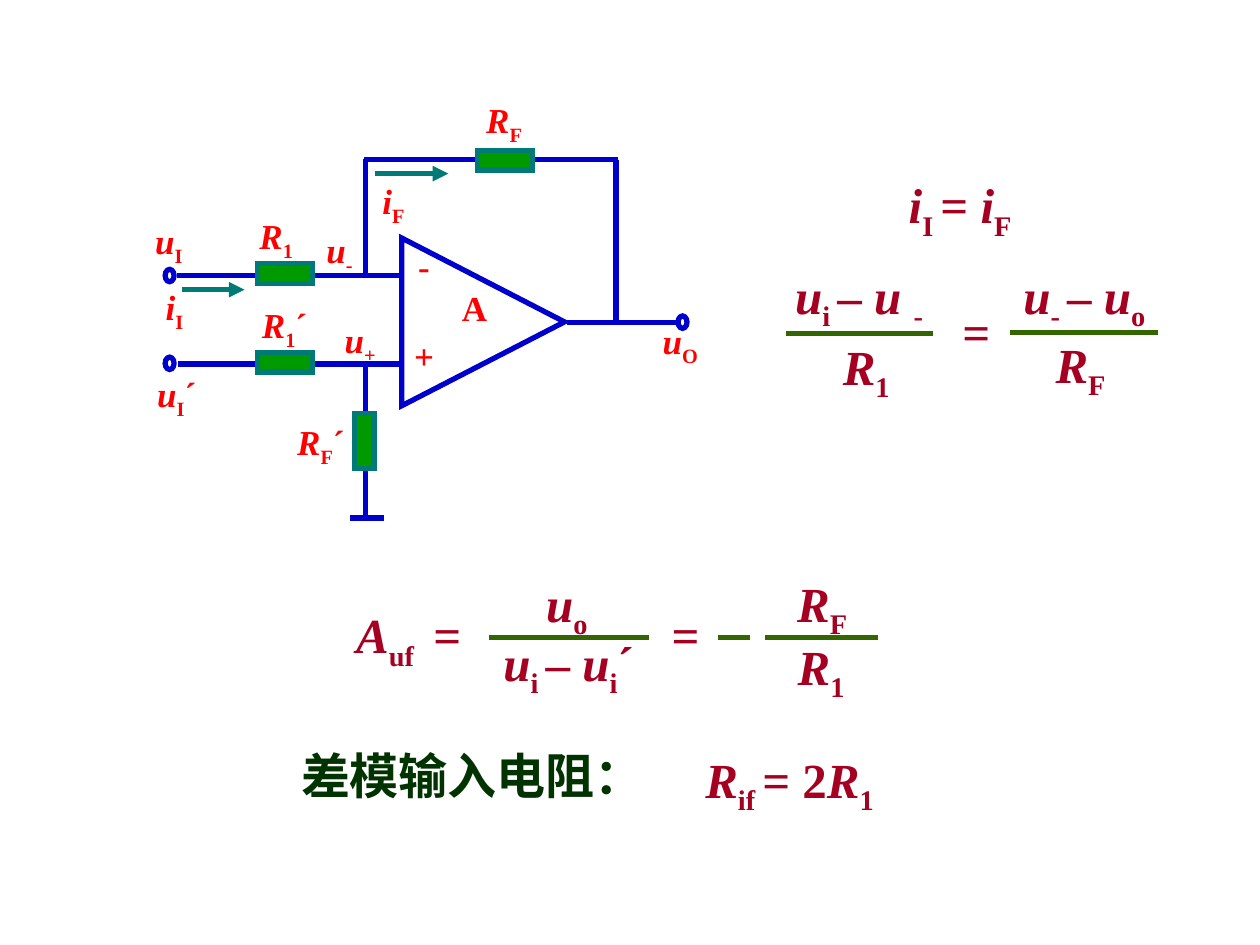
from lxml import etree
from pptx import Presentation
from pptx.dml.color import RGBColor
from pptx.enum.shapes import MSO_CONNECTOR, MSO_SHAPE
from pptx.enum.text import MSO_AUTO_SIZE
from pptx.oxml.ns import qn
from pptx.util import Cm, Pt

STRAIGHT = MSO_CONNECTOR.STRAIGHT
RECTANGLE = MSO_SHAPE.RECTANGLE
TRIANGLE = MSO_SHAPE.ISOSCELES_TRIANGLE
OVAL = MSO_SHAPE.OVAL
FIT_TEXT = MSO_AUTO_SIZE.SHAPE_TO_FIT_TEXT

CRIMSON = RGBColor(0xA5, 0x00, 0x21)
RED = RGBColor(0xFF, 0x00, 0x00)
DARK_GREEN = RGBColor(0x00, 0x33, 0x00)
OLIVE = RGBColor(0x33, 0x66, 0x00)
GREEN = RGBColor(0x00, 0x99, 0x00)
TEAL = RGBColor(0x00, 0x7A, 0x77)
BLUE = RGBColor(0x00, 0x00, 0xCC)

# Formula pieces are split by "|"; the first character selects the format.
RUN_FORMATS = {
    "/": {"italic": True},
    "_": {"italic": False},
    "~": {"size": Pt(16)},
}


class CircuitSlide:
    font_name = "Times New Roman"
    line_width = Pt(3)

    def __init__(self, slide):
        self.slide = slide

    def formula(self, text, left, top, width, size=28, color=CRIMSON, wrap=True):
        height = size * (0.057 if "_" in text else 0.051)
        box = self.slide.shapes.add_textbox(Cm(left), Cm(top), Cm(width), Cm(height))
        frame = box.text_frame
        frame.word_wrap = wrap
        frame.auto_size = FIT_TEXT
        paragraph = frame.paragraphs[0]
        for piece in text.split("|"):
            mark = piece[0] if piece[0] in RUN_FORMATS else ""
            run = paragraph.add_run()
            run.text = piece[len(mark):]
            values = {"name": self.font_name, "size": Pt(size), "bold": True}
            values.update(RUN_FORMATS.get(mark, {}))
            for name, value in values.items():
                setattr(run.font, name, value)
            run.font.color.rgb = color
            if mark == "_":
                run.font._element.set("baseline", "-25000")

    def label(self, text, left, top, width, wrap=True):
        self.formula(text, left, top, width, 20, RED, wrap)

    def line(self, x1, y1, x2, y2, color=BLUE, arrow=False):
        connector = self.slide.shapes.add_connector(
            STRAIGHT, Cm(x1), Cm(y1), Cm(x2), Cm(y2))
        connector.line.color.rgb = color
        connector.line.width = self.line_width
        if arrow:
            etree.SubElement(connector.line._get_or_add_ln(), qn("a:tailEnd"),
                             type="triangle")
        etree.SubElement(connector._element.spPr, qn("a:effectLst"))

    def shape(self, kind, left, top, width, height, color=BLUE, fill=None, rotation=0):
        shape = self.slide.shapes.add_shape(
            kind, Cm(left), Cm(top), Cm(width), Cm(height))
        shape.shadow.inherit = False
        shape.rotation = rotation
        shape.line.color.rgb = color
        shape.line.width = self.line_width
        etree.SubElement(shape.line._get_or_add_ln(), qn("a:miter"), lim="800000")
        if fill is None:
            shape.fill.background()
        else:
            shape.fill.solid()
            shape.fill.fore_color.rgb = fill

    def resistor(self, left, top, rotation=0):
        self.shape(RECTANGLE, left, top, 1.11, 0.39, TEAL, GREEN, rotation)

    def terminal(self, left, top):
        self.shape(OVAL, left, top, 0.18, 0.25)


def draw_circuit(page):
    # Amplifier and wires
    page.shape(TRIANGLE, 8.05, 4.85, 3.38, 3.28, rotation=90)
    for wire in (
        (3.56, 5.56, 8.1, 5.56),      # inverting input
        (3.58, 7.34, 8.13, 7.34),     # non-inverting input
        (11.43, 6.5, 13.67, 6.5),     # output
        (7.34, 3.22, 12.45, 3.22),    # feedback, top
        (12.42, 3.22, 12.42, 6.5),    # feedback, right
        (7.37, 5.56, 7.37, 3.2),      # feedback, left
        (7.37, 7.34, 7.37, 10.41),    # branch to ground
        (7.06, 10.44, 7.75, 10.44),   # ground
    ):
        page.line(*wire)

    # Terminals and resistors
    for position in ((3.33, 5.43), (3.33, 7.2), (13.67, 6.37)):
        page.terminal(*position)
    for position in ((9.63, 3.04), (5.19, 5.32), (5.19, 7.11), (6.79, 8.7, 90)):
        page.resistor(*position)

    # Current arrows
    page.line(3.66, 5.84, 4.93, 5.84, TEAL, arrow=True)
    page.line(7.55, 3.5, 9.04, 3.5, TEAL, arrow=True)

    # Labels
    for label in (
        ("/R|_F", 9.55, 1.87, 2.29),
        ("/i|_I", 3.09, 5.63, 0.9, False),
        ("/i|_F", 7.46, 3.49, 1.55),
        ("+", 8.1, 6.62, 1.24),
        ("-", 8.18, 4.8, 1.37),
        ("A", 9.06, 5.66, 1.45),
        ("/R|_1", 4.98, 4.2, 2.01),
        ("/R|_1|´", 5.03, 5.99, 2.39),
        ("/R|_F|´", 5.74, 8.35, 2.97),
        ("/u|_O", 13.11, 6.32, 2.01),
        ("/u|_I", 2.88, 4.31, 1.73),
        ("/u|_I|´", 2.92, 7.38, 2.36),
        ("/u|_-", 6.33, 4.49, 1.93),
        ("/u|_+", 6.7, 6.3, 1.57),
    ):
        page.label(*label)


def draw_equations(page):
    # Current balance, gain and input resistance
    for text, left, top, width in (
        ("/i|_I |= |/i|_F", 18.07, 3.4, 2.82),
        ("/u|_i |– |/u |_-", 15.78, 5.23, 3.25),
        ("=", 19.15, 5.96, 1.65),
        ("/u|_- |– |/u|_o", 20.38, 5.23, 3.33),
        ("/A|_uf | =", 6.93, 12.07, 2.84),
        ("/u|_i|~ |– |/u|_i|´", 9.9, 12.63, 3.38),
        ("=", 13.29, 12.07, 1.19),
        ("/R|_if|~ |= 2|/R|_1", 13.97, 14.98, 6.22),
    ):
        page.formula(text, left, top, width)

    # Single terms of the fractions
    for text, left, top, width in (
        ("/R|_1", 16.74, 6.65, 1.5),
        ("/R|_F", 21.03, 6.61, 1.6),
        ("/u|_o", 10.76, 11.43, 1.4),
        ("/R|_F", 15.82, 11.43, 1.6),
        ("/R|_1", 15.83, 12.71, 1.5),
    ):
        page.formula(text, left, top, width, wrap=False)

    # Fraction bars and minus sign
    for start, end, y in (
        (15.85, 18.8, 6.73),
        (20.37, 23.34, 6.71),
        (9.86, 13.08, 12.85),
        (14.48, 15.11, 12.85),
        (15.42, 17.7, 12.85),
    ):
        page.line(start, y, end, y, OLIVE)

    page.formula("差模输入电阻：", 5.82, 14.91, 10.21, color=DARK_GREEN)


def main():
    presentation = Presentation()
    presentation.slide_width = Cm(25.4)
    presentation.slide_height = Cm(19.05)
    page = CircuitSlide(presentation.slides.add_slide(presentation.slide_layouts[6]))
    draw_equations(page)
    draw_circuit(page)
    presentation.save("out.pptx")


if __name__ == "__main__":
    main()
